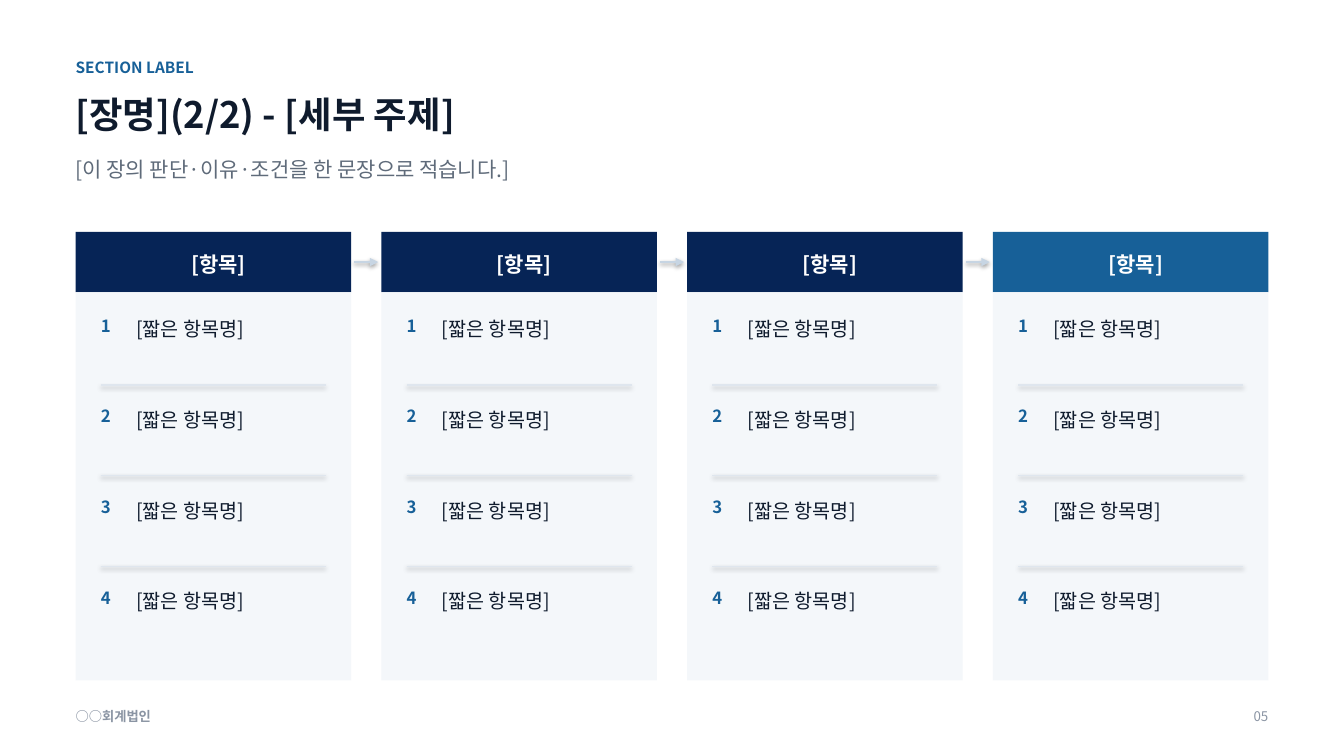
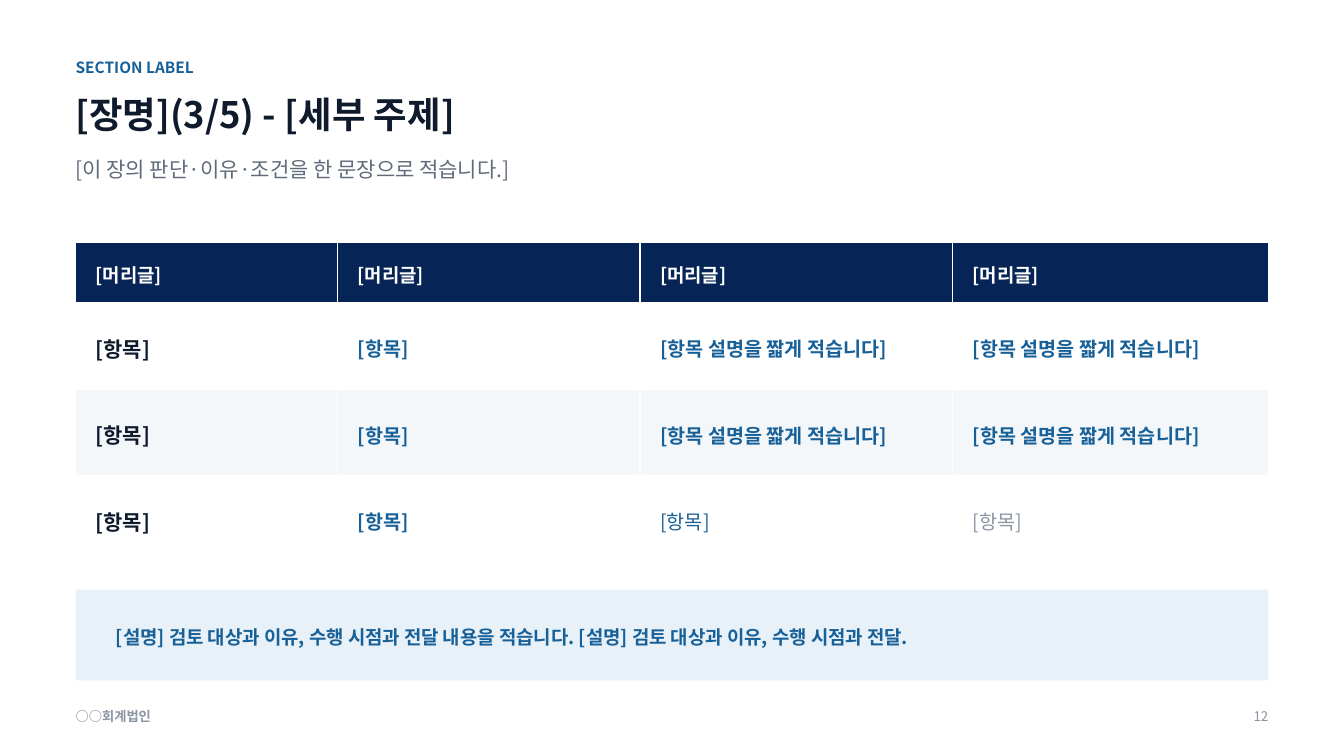
from lxml.etree import SubElement
from pptx import Presentation
from pptx.dml.color import RGBColor
from pptx.enum.shapes import MSO_CONNECTOR, MSO_SHAPE
from pptx.enum.text import MSO_ANCHOR, MSO_AUTO_SIZE, PP_ALIGN
from pptx.oxml import parse_xml
from pptx.oxml.ns import nsdecls, qn
from pptx.util import Pt

FONT = "Noto Sans CJK KR"
NAVY, BLUE, INK, WHITE = "062456", "176098", "0F1B2D", "FFFFFF"
GREY, MUTED, PALE, TINT = "5F6B7A", "8A94A3", "F4F7FA", "E8F1F8"
RULE, ARROW = "DFE6EE", "C7D5E3"
LEFT, WIDE = 54, 852
hue = RGBColor.from_string


def write(frame, words, size, color, bold=False, align=PP_ALIGN.LEFT,
          space=1.15, anchor=MSO_ANCHOR.TOP, pad=(0, 0, 0, 0)):
    frame.word_wrap = True
    frame.auto_size = MSO_AUTO_SIZE.NONE
    frame.vertical_anchor = anchor
    frame.margin_left, frame.margin_top, frame.margin_right, frame.margin_bottom = map(Pt, pad)
    para = frame.paragraphs[0]
    para.alignment = align
    para.line_spacing = space
    run = para.add_run()
    run.text = words
    font = run.font
    font.name, font.size, font.bold = FONT, Pt(size), bold
    font.color.rgb = hue(color)
    SubElement(font._element, qn("a:ea"), typeface=FONT)


def block(page, spot, color):
    rect = page.shapes.add_shape(MSO_SHAPE.RECTANGLE, *map(Pt, spot))
    rect.shadow.inherit = False
    rect.fill.solid()
    rect.fill.fore_color.rgb = hue(color)
    rect.line.fill.background()
    return rect


deck = Presentation()
deck.slide_width, deck.slide_height = Pt(960), Pt(540)

pages = []
for title, number in [("[장명](2/2) - [세부 주제]", "05"), ("[장명](3/5) - [세부 주제]", "12")]:
    page = deck.slides.add_slide(deck.slide_layouts[5])
    pages.append(page)
    head = page.shapes.title
    head.left, head.top, head.width, head.height = map(Pt, (LEFT, 61.2, WIDE, 43.2))
    write(head.text_frame, title, 26, INK, True)
    for spot, words, size, color, bold, align in [
        ((LEFT, 39.6, 648, 18), "SECTION LABEL", 11, BLUE, True, PP_ALIGN.LEFT),
        ((LEFT, 109.4, WIDE, 45.4), "[이 장의 판단·이유·조건을 한 문장으로 적습니다.]", 15, GREY, False, PP_ALIGN.LEFT),
        ((LEFT, 504, 432, 15.8), "○○회계법인", 9.5, MUTED, True, PP_ALIGN.LEFT),
        ((834, 504, 72, 15.8), number, 9.5, MUTED, False, PP_ALIGN.RIGHT),
    ]:
        area = page.shapes.add_textbox(*map(Pt, spot))
        write(area.text_frame, words, size, color, bold, align)

flow, grid = pages

GAP, COUNT, STEP = 21.6, 4, 64.8
TOP, BAR = 165.6, 43.2
span = (WIDE - GAP * (COUNT - 1)) / COUNT
for col in range(COUNT):
    left = LEFT + col * (span + GAP)
    last = col == COUNT - 1
    bar = block(flow, (left, TOP, span, BAR), BLUE if last else NAVY)
    write(bar.text_frame, "[항목]", 15, WHITE, True, PP_ALIGN.CENTER,
          anchor=MSO_ANCHOR.MIDDLE, pad=(18, 0, 10.8, 0))
    block(flow, (left, TOP + BAR, span, 277.2), PALE)
    lines = []
    for row in range(4):
        top = 223.2 + row * STEP
        mark = flow.shapes.add_textbox(*map(Pt, (left + 18, top, 28.8, 21.6)))
        write(mark.text_frame, str(row + 1), 12, BLUE, True)
        item = flow.shapes.add_textbox(*map(Pt, (left + 43.2, top, 139.2, 50.4)))
        write(item.text_frame, "[짧은 항목명]", 14, INK, space=1.2)
        if row < 3:
            lines.append((left + 18, left + span - 18, top + 51.8, RULE, 0.75))
    if not last:
        edge = left + span
        lines.append((edge + 2.2, edge + GAP - 2.2, TOP + BAR / 2, ARROW, 1.5))
    for start, end, y, color, width in lines:
        line = flow.shapes.add_connector(MSO_CONNECTOR.STRAIGHT, *map(Pt, (start, y, end, y)))
        line.line.color.rgb = hue(color)
        line.line.width = Pt(width)
        if color == ARROW:
            SubElement(line.line._get_or_add_ln(), qn("a:tailEnd"), type="triangle")

LONG = "[항목 설명을 짧게 적습니다]"
FIRST, SECOND = ("[항목]", 15, INK, True), ("[항목]", 14, BLUE, True)
body = [FIRST, SECOND] + [(LONG, 14, BLUE, True)] * 2
rows = [
    (43.2, NAVY, [("[머리글]", 13.5, WHITE, True)] * 4),
    (61.9, WHITE, body),
    (61.9, PALE, body),
    (61.9, WHITE, [FIRST, SECOND, ("[항목]", 14, BLUE, False), ("[항목]", 14, MUTED, False)]),
]
table = grid.shapes.add_table(4, 4, *map(Pt, (LEFT, 172.8, WIDE, 228.9))).table
table.horz_banding = False
for col, width in zip(table.columns, (187.2, 216, 223.2, 225.6)):
    col.width = Pt(width)
for r, (height, shade, cells) in enumerate(rows):
    table.rows[r].height = Pt(height)
    for c, (words, size, color, bold) in enumerate(cells):
        cell = table.cell(r, c)
        props = cell._tc.get_or_add_tcPr()
        for side in "LRTB":
            props.append(parse_xml(
                f'<a:ln{side} {nsdecls("a")} w="12700"><a:solidFill>'
                f'<a:srgbClr val="{WHITE}"/></a:solidFill></a:ln{side}>'))
        cell.fill.solid()
        cell.fill.fore_color.rgb = hue(shade)
        write(cell.text_frame, words, size, color, bold)
        cell.vertical_anchor = MSO_ANCHOR.MIDDLE
        cell.margin_left = cell.margin_right = Pt(14.4)
        cell.margin_top = cell.margin_bottom = Pt(4.3)

note = block(grid, (LEFT, 421.2, WIDE, 64.8), TINT)
write(note.text_frame, "[설명] 검토 대상과 이유, 수행 시점과 전달 내용을 적습니다. [설명] 검토 대상과 이유, 수행 시점과 전달.",
      13.5, BLUE, True, anchor=MSO_ANCHOR.MIDDLE, pad=(28.8, 0, 28.8, 0))

deck.save("out.pptx")
